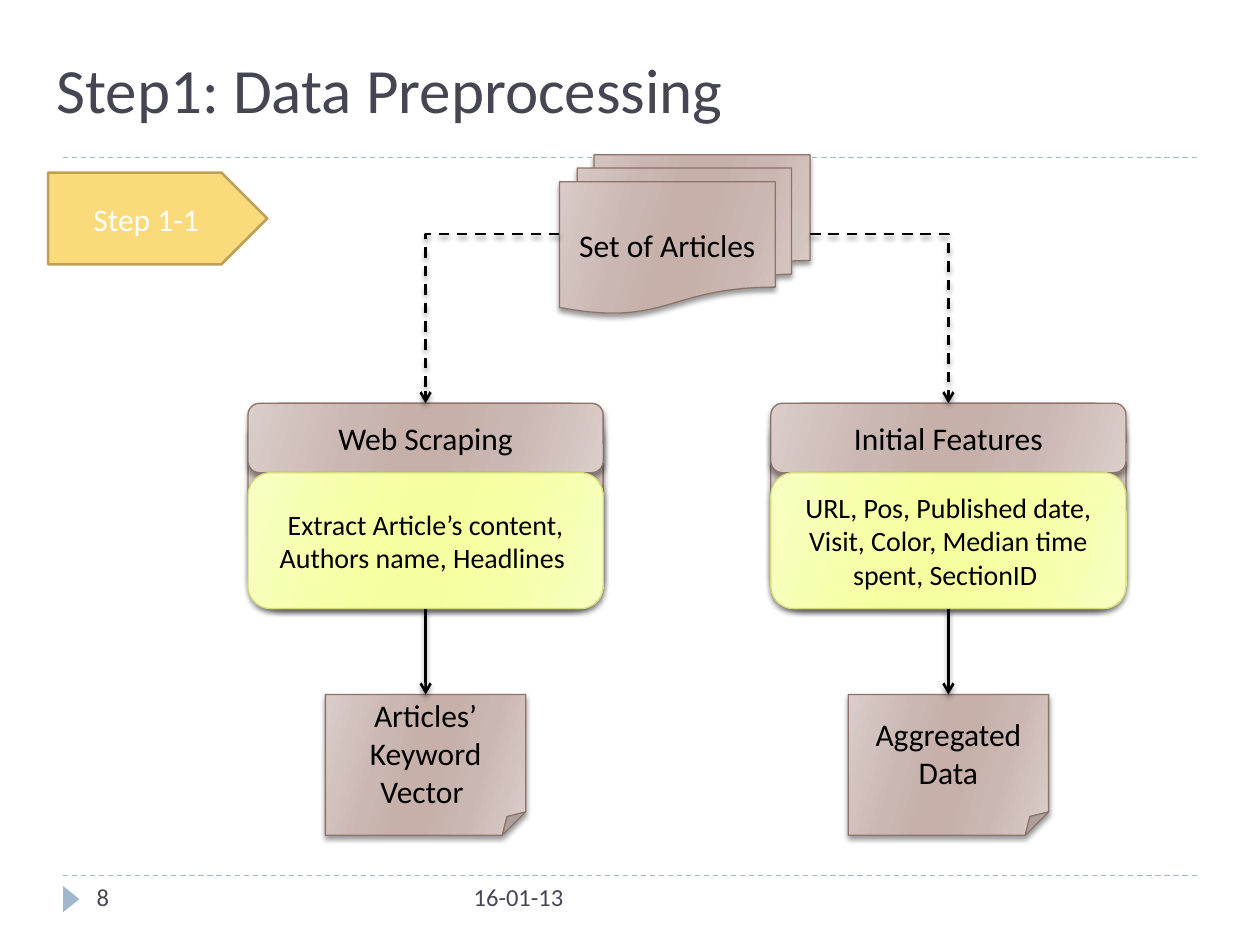
"""Build the data preprocessing flow slide."""
from pptx import Presentation
from pptx.dml.color import RGBColor
from pptx.enum.dml import MSO_LINE
from pptx.enum.shapes import MSO_CONNECTOR, MSO_SHAPE
from pptx.enum.text import MSO_ANCHOR, PP_ALIGN
from pptx.oxml import parse_xml
from pptx.oxml.ns import nsdecls
from pptx.util import Cm, Pt

STRAIGHT, ELBOW = MSO_CONNECTOR.STRAIGHT, MSO_CONNECTOR.ELBOW
ROUNDED, NOTE = MSO_SHAPE.ROUNDED_RECTANGLE, MSO_SHAPE.FOLDED_CORNER
DOCUMENTS, PENTAGON = MSO_SHAPE.FLOWCHART_MULTIDOCUMENT, MSO_SHAPE.PENTAGON
TRIANGLE = MSO_SHAPE.ISOSCELES_TRIANGLE
TOP, MIDDLE, BOTTOM = MSO_ANCHOR.TOP, MSO_ANCHOR.MIDDLE, MSO_ANCHOR.BOTTOM
CENTER, LEFT = PP_ALIGN.CENTER, PP_ALIGN.LEFT
DASH = MSO_LINE.DASH

THEME = {
    "font": "Calibri", "title": 36, "label": 18, "detail": 16, "footer": 14,
    "heading": "464653", "ink": "000000", "white": "FFFFFF", "rule": "9FB8CD",
    "brown": (("DACDCA", "CBB7B2", "C6B0A9"), "8E736A"),
    "lime": (("F8FEC2", "F6FFA7", "F6FF9F"), "D2DA7A"),
    "gold": ("FADA7A", "B9A15A"),
}
STOPS = ((0, 0), (30, 1), (45, 2), (55, 2), (73, 1), (100, 0))
NAMESPACE = nsdecls("a")
SHADOW = (f'<a:effectLst {NAMESPACE}><a:outerShdw blurRad="38100" dist="25400" dir="5400000" '
          'rotWithShape="0"><a:srgbClr val="000000"><a:alpha val="40000"/></a:srgbClr>'
          '</a:outerShdw></a:effectLst>')

deck = Presentation()
deck.slide_width, deck.slide_height = Cm(25.4), Cm(19.05)
page = deck.slides.add_slide(deck.slide_layouts[6])


def add_box(kind, place, text="", size="label", color="ink", paint=None, anchor=MIDDLE, align=CENTER):
    """Add a text box, or a painted shape when a kind is given."""
    lengths = [Cm(value) for value in place]
    box = page.shapes.add_shape(kind, *lengths) if kind else page.shapes.add_textbox(*lengths)
    if paint:
        fill, outline = THEME[paint]
        box.line.color.rgb = RGBColor.from_string(outline)
        box.line.width = Pt(1.5 if paint == "gold" else 0.75)
        if paint == "gold":
            box.shadow.inherit = False
            box.fill.solid()
            box.fill.fore_color.rgb = RGBColor.from_string(fill)
        else:
            stops = "".join(f'<a:gs pos="{pos * 1000}"><a:srgbClr val="{fill[tone]}"/></a:gs>'
                            for pos, tone in STOPS)
            properties = box._element.spPr
            properties.insert(2, parse_xml(
                f'<a:gradFill {NAMESPACE} rotWithShape="1"><a:gsLst>{stops}</a:gsLst>'
                '<a:lin ang="960000" scaled="0"/></a:gradFill>'))
            properties.append(parse_xml(SHADOW))
    if text:
        frame = box.text_frame
        frame.word_wrap, frame.vertical_anchor = True, anchor
        para = frame.paragraphs[0]
        para.text, para.alignment = text, align
        para.font.name, para.font.size = THEME["font"], Pt(THEME[size])
        para.font.color.rgb = RGBColor.from_string(THEME[color])
    return box


def add_line(kind, start, end, color="ink", dashed=False, arrow=True):
    """Add a rule, or a shadowed arrow."""
    line = page.shapes.add_connector(kind, *[Cm(value) for value in start + end])
    line.line.color.rgb = RGBColor.from_string(THEME[color])
    line.line.width = Pt(1.5 if arrow else 0.75)
    if dashed:
        line.line.dash_style = DASH
    properties = line._element.spPr
    if kind == ELBOW:
        properties.prstGeom.set("prst", "bentConnector2")
    if arrow:
        properties.ln.append(parse_xml(f'<a:tailEnd {NAMESPACE} type="arrow"/>'))
    properties.append(parse_xml(SHADOW if arrow else f"<a:effectLst {NAMESPACE}/>"))


FOOTER_TOP = 17.65
for rule_top in (FOOTER_TOP, 3.18):
    add_line(STRAIGHT, (1.27, rule_top), (24.13, rule_top), "rule", dashed=True, arrow=False)
marker = add_box(TRIANGLE, (1.17, 17.96, 0.53, 0.33))
marker.rotation = 90
marker.shadow.inherit = False
marker.fill.solid()
marker.fill.fore_color.rgb = RGBColor.from_string(THEME["rule"])
marker.line.fill.background()

add_box(None, (0.89, -0.08, 22.86, 2.74), "Step1: Data Preprocessing", "title", "heading",
        anchor=BOTTOM, align=LEFT)
articles_left, articles_width = 11.28, 5.05
add_box(DOCUMENTS, (articles_left, 3.12, articles_width, 3.2), "Set of Articles", paint="brown")
add_box(PENTAGON, (0.97, 3.48, 4.42, 1.85), "Step 1-1", color="white", paint="gold")

card_top, card_width, header_height, body_height = 8.13, 7.16, 1.4, 2.74
card_height = header_height + body_height
card_bottom = card_top + card_height
note_top, note_width, note_height = 14, 4.04, 2.84
branches = (
    (5, articles_left, "Web Scraping",
     "Extract Article’s content, Authors name, Headlines ", "Articles’ Keyword Vector "),
    (15.54, articles_left + articles_width, "Initial Features",
     "URL, Pos, Published date, Visit, Color, Median time spent, SectionID ", "Aggregated Data"),
)
for left, articles_edge, heading, detail, result in branches:
    center = left + card_width / 2
    add_box(ROUNDED, (left, card_top, card_width, card_height), paint="brown")
    add_box(ROUNDED, (left, card_top, card_width, header_height), heading, paint="brown")
    add_box(ROUNDED, (left, card_top + header_height, card_width, body_height), detail, "detail",
            paint="lime")
    add_box(NOTE, (center - note_width / 2, note_top, note_width, note_height), result, paint="brown")
    add_line(ELBOW, (articles_edge, 4.72), (center, card_top), dashed=True)
    add_line(STRAIGHT, (center, card_bottom), (center, note_top))

for left, width, text in ((9.3, 6.35, "16-01-13"), (1.7, 5.51, "8")):
    add_box(None, (left, FOOTER_TOP, width, 1.02), text, "footer", "heading", anchor=TOP, align=LEFT)

deck.save("out.pptx")
